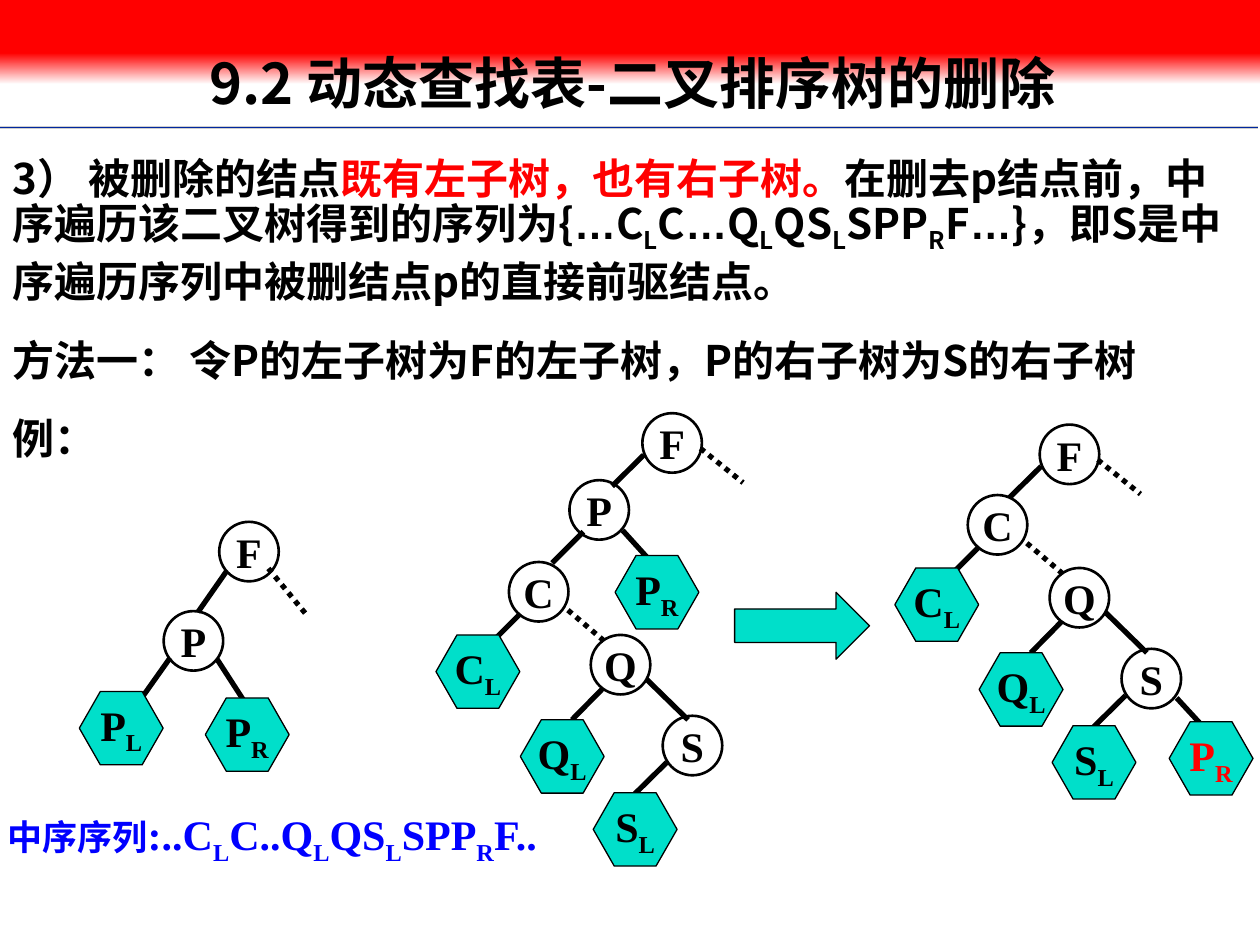
"""Build a slide on deleting a node with two subtrees from a binary sort tree."""
from dataclasses import dataclass

import lxml.etree
import pptx
import pptx.dml.color
import pptx.enum.dml
import pptx.enum.shapes
import pptx.enum.text
import pptx.oxml.ns
import pptx.util

Cm, Pt, qn = pptx.util.Cm, pptx.util.Pt, pptx.oxml.ns.qn
SHAPE = pptx.enum.shapes.MSO_SHAPE
ANCHOR = pptx.enum.text.MSO_ANCHOR
ALIGN = pptx.enum.text.PP_ALIGN
COLORS = {"black": "000000", "red": "FF0000", "blue": "0000FF", "teal": "00DFCA",
          "navy": "00279F", "silver": "CECECE", "white": "FFFFFF"}
SANS, SERIF, ELLIPSIS = "Noto Sans CJK SC", "Times New Roman", "Arial"


@dataclass
class Span:
    """Text in one style; an underscore lowers the letter after it."""
    text: str
    font: str = SANS
    color: str = "black"
    size: float = 24


@dataclass
class Node:
    """A circle, or a hexagon when the label has a subscript."""
    label: str
    x: float
    y: float
    color: str = "black"


@dataclass
class Edge:
    """A branch between two points."""
    x1: float
    y1: float
    x2: float
    y2: float
    dotted: bool = False


@dataclass
class Tree:
    """Nodes and edges placed relative to an origin."""
    x: float
    y: float
    edges: list[Edge]
    nodes: list[Node]


def rgb(name: str) -> pptx.dml.color.RGBColor:
    return pptx.dml.color.RGBColor.from_string(COLORS[name])


def add_run(p, text: str, span: Span, lowered: bool = False) -> None:
    r = p.add_run()
    r.text = text
    r.font.size, r.font.bold, r.font.name = Pt(span.size), True, span.font
    r.font.color.rgb = rgb(span.color)
    rpr = r._r.get_or_add_rPr()
    if lowered:
        rpr.set("baseline", "-25000")
    lxml.etree.SubElement(rpr, qn("a:ea")).set("typeface", SANS)


def add_span(p, span: Span) -> None:
    first, *rest = span.text.split("_")
    if first:
        add_run(p, first, span)
    for part in rest:
        add_run(p, part[0], span, lowered=True)
        if part[1:]:
            add_run(p, part[1:], span)


def add_box(s, x: float, y: float, w: float, h: float, paragraphs: list[list[Span]]):
    tf = s.shapes.add_textbox(Cm(x), Cm(y), Cm(w), Cm(h)).text_frame
    tf.word_wrap = True
    for i, spans in enumerate(paragraphs):
        p = tf.add_paragraph() if i else tf.paragraphs[0]
        if i:
            p.space_before = Pt(15)
        for span in spans:
            add_span(p, span)
    return tf


def add_shape(s, kind, x: float, y: float, w: float, h: float, fill: str | None, line: float = 0):
    sp = s.shapes.add_shape(kind, Cm(x), Cm(y), Cm(w), Cm(h))
    sp.shadow.inherit = False
    if fill:
        sp.fill.solid()
        sp.fill.fore_color.rgb = rgb(fill)
    else:
        sp.fill.background()
    if line:
        sp.line.color.rgb, sp.line.width = rgb("black"), Pt(line)
    else:
        sp.line.fill.background()
    return sp


def add_line(s, edge: Edge, color: str = "black", width: float = 3) -> None:
    line = s.shapes.add_connector(pptx.enum.shapes.MSO_CONNECTOR.STRAIGHT, Cm(edge.x1),
                                  Cm(edge.y1), Cm(edge.x2), Cm(edge.y2))
    line.line.color.rgb, line.line.width = rgb(color), Pt(width)
    if edge.dotted:
        line.line.dash_style = pptx.enum.dml.MSO_LINE.ROUND_DOT
    lxml.etree.SubElement(line._element.spPr, qn("a:effectLst"))


def add_node(s, node: Node) -> None:
    if "_" in node.label:
        sp = add_shape(s, SHAPE.HEXAGON, node.x, node.y, 1.69, 1.48, "teal", 0.75)
        sp.adjustments[0] = 0.286
    else:
        sp = add_shape(s, SHAPE.OVAL, node.x, node.y, 1.2, 1.2, None, 1.5)
    tf = sp.text_frame
    tf.word_wrap, tf.vertical_anchor = False, ANCHOR.MIDDLE
    tf.paragraphs[0].alignment = ALIGN.CENTER
    add_span(tf.paragraphs[0], Span(node.label, SERIF, node.color))


def add_tree(s, tree: Tree) -> None:
    x, y = tree.x, tree.y
    for e in tree.edges:
        add_line(s, Edge(x + e.x1, y + e.y1, x + e.x2, y + e.y2, e.dotted))
    for n in tree.nodes:
        add_node(s, Node(n.label, x + n.x, y + n.y, n.color))


def add_header(s) -> None:
    for y, color, width in [(2.57, "silver", 2), (2.57, "navy", 1), (2.62, "white", 1)]:
        add_line(s, Edge(0, y, 25.35, y), color, width)
    fade = add_shape(s, SHAPE.RECTANGLE, 0, 1.07, 25.4, 0.63, "red")
    fade.fill.gradient()
    fade.fill.gradient_angle = 270
    for stop, color, position in zip(fade.fill.gradient_stops, ["red", "white"], [0, 1]):
        stop.color.rgb, stop.position = rgb(color), position
    add_shape(s, SHAPE.RECTANGLE, 0, 0, 25.4, 1.07, "red")
    title = s.shapes.title
    title.left, title.top, title.width, title.height = Cm(3.96), Cm(0.81), Cm(20.8), Cm(1.88)
    tf = title.text_frame
    tf.auto_size = pptx.enum.text.MSO_AUTO_SIZE.NONE
    tf.vertical_anchor = ANCHOR.MIDDLE
    p = tf.paragraphs[0]
    p.alignment, p.line_spacing = ALIGN.LEFT, 0.9
    add_span(p, Span("9.2 动态查找表-二叉排序树的删除", size=32))
    s.shapes._spTree.append(title._element)


HEAD_EDGES = [Edge(1.17, 0.71, 2.03, 1.4, True), Edge(0.03, 0.84, -0.61, 1.47)]
CHAIN_EDGES = [Edge(1.19, 0.97, 1.93, 1.6, True), Edge(0.23, 1.04, -0.41, 1.68),
               Edge(2.77, 2.36, 3.61, 3.18), Edge(1.9, 2.54, 1.27, 3.18),
               Edge(3.18, 4.04, 2.54, 4.67)]
CHAIN_NODES = [Node("C", 0, 0), Node("Q", 1.65, 1.47), Node("S", 3.1, 3.1),
               Node("C_L", -1.47, 1.47), Node("Q_L", 0.23, 3.18), Node("S_L", 1.7, 4.65)]
TREES = [
    Tree(4.42, 10.52,
         [Edge(-0.05, 2.76, 0.48, 3.58), Edge(-0.99, 2.74, -1.55, 3.53),
          Edge(0.99, 0.94, 1.78, 1.9, True), Edge(0.15, 0.99, -0.43, 1.82)],
         [Node("F", 0, 0), Node("P", -1.12, 1.8), Node("P_L", -2.82, 3.42),
          Node("P_R", -0.28, 3.55)]),
    Tree(12.95, 8.33, HEAD_EDGES, [Node("F", 0, 0)]),
    Tree(11.48, 9.68, [Edge(1.07, 1.01, 1.65, 1.65), Edge(0.28, 1.04, -0.35, 1.67)],
         [Node("P", 0, 0), Node("P_R", 0.92, 1.52)]),
    Tree(10.26, 11.33, CHAIN_EDGES, CHAIN_NODES),
    Tree(20.96, 8.56, HEAD_EDGES, [Node("F", 0, 0)]),
    Tree(19.51, 9.98, CHAIN_EDGES + [Edge(4.21, 4.09, 4.8, 4.73)],
         CHAIN_NODES + [Node("P_R", 4.06, 4.57, "red")]),
]
DOTS = Span("…", ELLIPSIS)
EXPLANATION = [
    [Span("3） 被删除的结点"), Span("既有左子树，也有右子树。", color="red"),
     Span("在删去p结点前，中序遍历该二叉树得到的序列为{"), DOTS, Span("C_LC"), DOTS,
     Span("Q_LQS_LSPP_RF"), DOTS, Span("}，即S是中序遍历序列中被删结点p的直接前驱结点。")],
    [Span("方法一： 令P的左子树为F的左子树，P的右子树为S的右子树")],
    [Span("例：")],
]
SEQUENCE = [[Span("中序序列", SERIF, "blue", 20),
             Span(":..C_LC..Q_LQS_LSPP_RF..", SERIF, "blue")]]


def main() -> None:
    prs = pptx.Presentation()
    prs.slide_width, prs.slide_height = Cm(25.4), Cm(19.05)
    s = prs.slides.add_slide(prs.slide_layouts[5])
    add_header(s)
    tf = add_box(s, 0, 2.92, 25.2, 6.53, EXPLANATION)
    for p in tf.paragraphs:
        p.line_spacing = Pt(29.6)
    tf.paragraphs[-1].alignment = ALIGN.JUSTIFY
    add_box(s, -0.1, 16.18, 11.91, 1.42, SEQUENCE)
    add_shape(s, SHAPE.RIGHT_ARROW, 14.81, 11.94, 2.72, 1.35, "teal", 0.75)
    for tree in TREES:
        add_tree(s, tree)
    prs.save("out.pptx")


if __name__ == "__main__":
    main()
